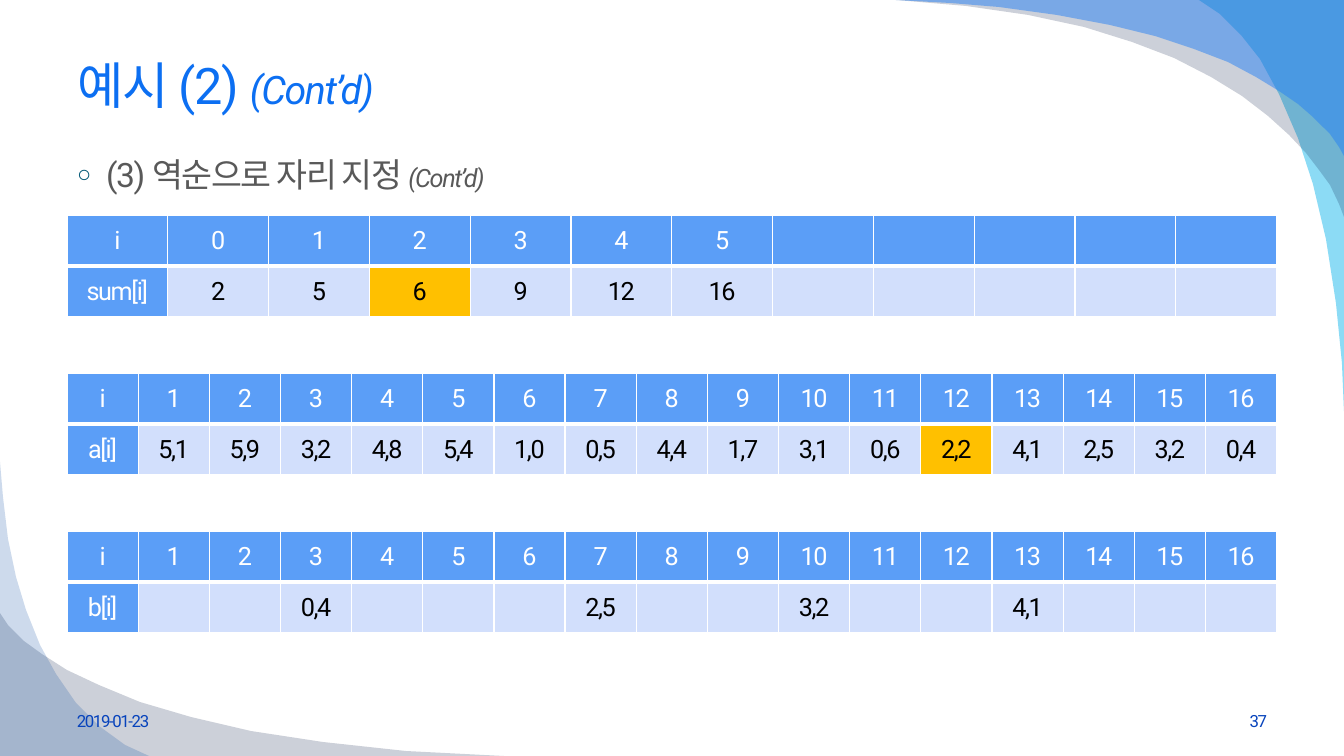
import pptx
import pptx.util
import pptx.dml.color
import pptx.enum.text
import pptx.oxml
import pptx.oxml.ns
import lxml.etree

PX = 914400 / 100.8
WIDE, HIGH = 1344, 756
BLUE, PALE, GOLD, WHITE, BLACK = "5B9EF7", "D2DFFC", "FFC000", "FFFFFF", "000000"
ALIGN = pptx.enum.text.PP_ALIGN
MID = pptx.enum.text.MSO_ANCHOR.MIDDLE
TOP = pptx.enum.text.MSO_ANCHOR.TOP

WAVES = [
    ("00B1E9", 45, [
        (1344, 0), (1199, 0), (1220, 14), (1241, 35), (1260, 59), (1279, 94), (1298, 138),
        (1313, 184), (1326, 239), (1336, 303), (1342, 363), (1344, 411)]),
    ("021741", 20, [
        (1344, 0), (896, 0), (966, 6), (1028, 15), (1084, 27), (1132, 42), (1174, 58),
        (1211, 77), (1242, 96), (1268, 116), (1289, 135), (1306, 153), (1319, 170),
        (1330, 185), (1339, 204), (1344, 217)]),
    ("247FF4", 49, [
        (1344, 0), (896, 0), (950, 3), (999, 7), (1057, 15), (1110, 25), (1155, 36),
        (1194, 49), (1228, 62), (1256, 77), (1279, 91), (1298, 104), (1313, 117),
        (1330, 134), (1339, 147), (1344, 156)]),
    ("021741", 20, [
        (0, 756), (0, 613), (8, 625), (24, 641), (42, 654), (67, 670), (99, 685),
        (140, 702), (191, 717), (251, 731), (323, 742), (406, 751), (504, 756)]),
    ("084AA1", 20, [
        (0, 756), (0, 462), (3, 497), (8, 539), (16, 577), (26, 610), (40, 645),
        (56, 674), (76, 703), (99, 726), (125, 745), (149, 756)]),
]

TITLE = [("예시 (2) ", 36, False), ("(Cont’d)", 28, True)]
BODY = [("(3) 역순으로 자리 지정 ", 24, False), ("(Cont’d)", 18, True)]
NOTES = [("2019-01-23", 67, ALIGN.LEFT), ("37", 964, ALIGN.RIGHT)]

COUNT = [str(n) for n in range(1, 17)]
GRIDS = [
    (["i", "0", "1", "2", "3", "4", "5"] + [""] * 5,
     ["sum[i]", "2", "5", "6", "9", "12", "16"] + [""] * 5, 3),
    (["i"] + COUNT,
     ["a[i]", "5,1", "5,9", "3,2", "4,8", "5,4", "1,0", "0,5", "4,4", "1,7", "3,1",
      "0,6", "2,2", "4,1", "2,5", "3,2", "0,4"], 12),
    (["i"] + COUNT,
     ["b[i]", "", "", "0,4", "", "", "", "2,5", "", "", "3,2", "", "", "4,1",
      "", "", ""], None),
]
LEFT, SPAN, FIRST, STEP, ROW = 67, 1210, 215, 158, 51


def emu(n):
    return pptx.util.Emu(round(n * PX))


def tint(code):
    return pptx.dml.color.RGBColor.from_string(code)


def add_node(root, tag, **attrs):
    node = lxml.etree.SubElement(root, pptx.oxml.ns.qn(tag))
    for key, value in attrs.items():
        node.set(key, str(value))
    return node


def set_all(thing, form):
    for key, value in form.items():
        setattr(thing, key, value)


def add_run(para, text, size, code, slant=False):
    run = para.add_run()
    run.text = text
    set_all(run.font, {"size": pptx.util.Pt(size), "name": "Roboto",
                       "italic": slant, "bold": False})
    run.font.color.rgb = tint(code)
    run.font._element.set("spc", "-100")


def place(shape, left, top, width, height, anchor):
    set_all(shape, {"left": emu(left), "top": emu(top),
                    "width": emu(width), "height": emu(height)})
    set_all(shape.text_frame, {"word_wrap": True, "vertical_anchor": anchor,
                               "auto_size": pptx.enum.text.MSO_AUTO_SIZE.NONE})
    return shape.text_frame.paragraphs[0]


def add_wave(slide, code, solid, points):
    path = slide.shapes.build_freeform(*points[0], scale=PX)
    path.add_line_segments(points[1:], close=True)
    shape = path.convert_to_shape()
    shape.shadow.inherit = False
    shape.line.fill.background()
    shape.fill.solid()
    shape.fill.fore_color.rgb = tint(code)
    color = shape._element.spPr.find(".//" + pptx.oxml.ns.qn("a:srgbClr"))
    add_node(color, "a:alpha", val=solid * 1000)


def add_edges(cell, above, below):
    props = cell._tc.get_or_add_tcPr()
    sides = [("a:lnL", 1), ("a:lnR", 1), ("a:lnT", above), ("a:lnB", below)]
    for spot, (tag, width) in enumerate(sides):
        line = add_node(props, tag, w=width * 12700)
        add_node(add_node(line, "a:solidFill"), "a:srgbClr", val=WHITE)
        props.insert(spot, line)


def add_grid(slide, top, head, data, mark):
    size = len(head)
    table = slide.shapes.add_table(
        2, size, emu(LEFT), emu(top), emu(SPAN), emu(2 * ROW)).table
    set_all(table, {"first_row": False, "horz_banding": False})
    for col in table.columns:
        col.width = emu(SPAN / size)
    for r, row in enumerate((head, data)):
        table.rows[r].height = emu(ROW)
        for c, text in enumerate(row):
            cell = table.cell(r, c)
            label = r == 0 or c == 0
            cell.vertical_anchor = MID
            cell.fill.solid()
            cell.fill.fore_color.rgb = tint(BLUE if label else GOLD if c == mark else PALE)
            add_edges(cell, 3 if r else 1, 1 if r else 3)
            para = cell.text_frame.paragraphs[0]
            para.alignment = ALIGN.CENTER
            if text:
                add_run(para, text, 18, WHITE if label else BLACK)


def main():
    deck = pptx.Presentation()
    set_all(deck, {"slide_width": emu(WIDE), "slide_height": emu(HIGH)})
    slide = deck.slides.add_slide(deck.slide_layouts[1])
    for wave in WAVES:
        add_wave(slide, *wave)

    para = place(slide.shapes.title, 67, 33, SPAN, 102, MID)
    para.alignment = ALIGN.LEFT
    for text, size, slant in TITLE:
        add_run(para, text, size, "0C6FF2", slant)

    para = place(slide.placeholders[1], 67, 149, SPAN, 526, TOP)
    props = para._p.get_or_add_pPr()
    props.set("marL", str(emu(29)))
    props.set("indent", str(emu(-29)))
    add_node(add_node(props, "a:buClr"), "a:srgbClr", val="005876")
    add_node(props, "a:buSzPct", val=70000)
    add_node(props, "a:buChar", char="○")
    para.space_before = pptx.util.Pt(0)
    for text, size, slant in BODY:
        add_run(para, text, size, "595959", slant)

    for text, left, align in NOTES:
        box = slide.shapes.add_textbox(0, 0, 0, 0)
        para = place(box, left, 701, 313, 40, MID)
        para.alignment = align
        add_run(para, text, 12, "0743BC")

    for n, grid in enumerate(GRIDS):
        add_grid(slide, FIRST + n * STEP, *grid)
    deck.save("out.pptx")


if __name__ == "__main__":
    main()
